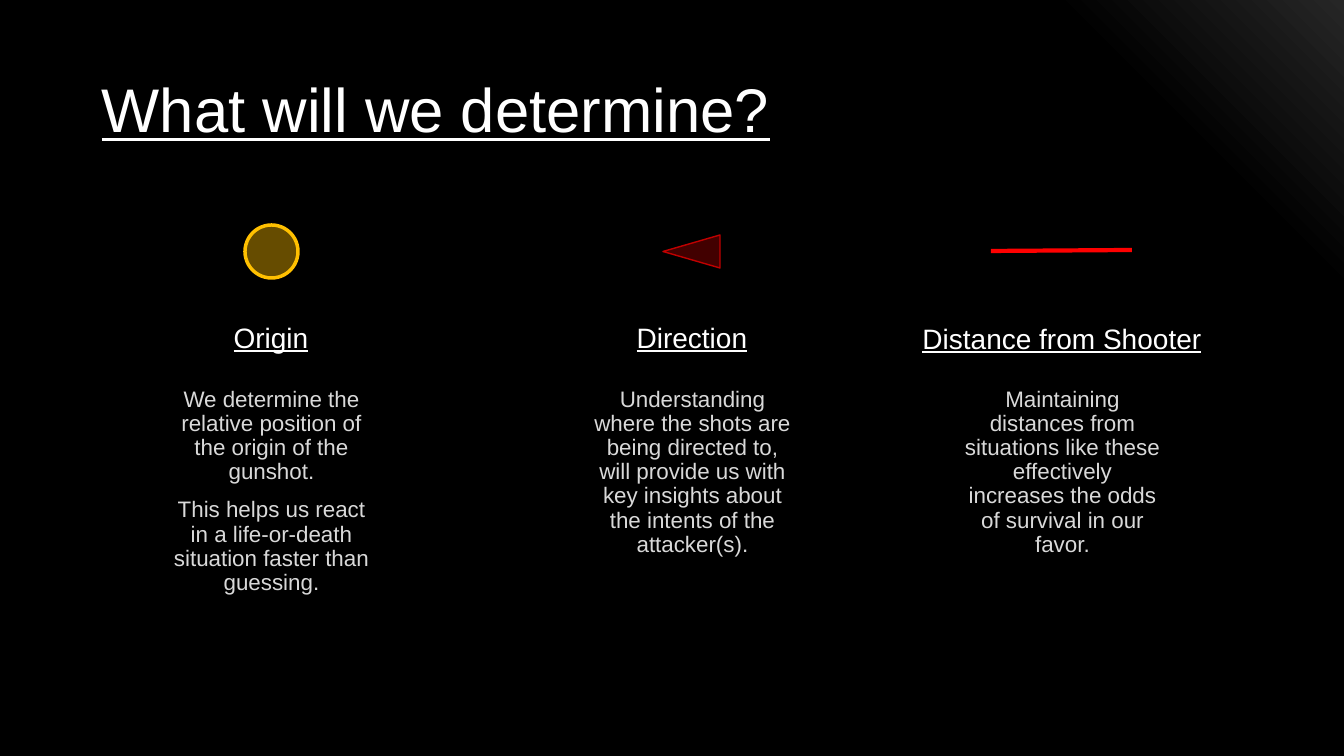
"""Build the slide on what is determined from a gunshot."""
from pptx import Presentation
from pptx.dml.color import RGBColor
from pptx.enum.shapes import MSO_CONNECTOR, MSO_SHAPE
from pptx.enum.text import MSO_ANCHOR, PP_ALIGN
from pptx.oxml import parse_xml
from pptx.oxml.ns import nsdecls
from pptx.oxml.xmlchemy import OxmlElement
from pptx.util import Pt

SCALE = 12192000 / 1344


def color(value):
    return RGBColor.from_string(value)


def add_text(slide, bounds, paragraphs, text_format, paragraph_format, anchor=MSO_ANCHOR.TOP):
    box = slide.shapes.add_textbox(*(round(length * SCALE) for length in bounds))
    frame = box.text_frame
    frame.word_wrap = True
    frame.vertical_anchor = anchor
    for index, text in enumerate(paragraphs):
        para = frame.paragraphs[0] if index == 0 else frame.add_paragraph()
        for name, value in paragraph_format.items():
            setattr(para, name, value)
        span = para.add_run()
        span.text = text
        for name, value in text_format.items():
            if name == "color":
                span.font.color.rgb = color(value)
            else:
                setattr(span.font, name, value)


deck = Presentation()
deck.slide_width = round(1344 * SCALE)
deck.slide_height = round(756 * SCALE)
page = deck.slides.add_slide(deck.slide_layouts[6])

stops = "".join(
    f'<a:gs pos="{position * 1000}"><a:srgbClr val="{value}"/></a:gs>'
    for position, value in [(0, "262626"), (14, "000000"), (100, "000000")]
)
background = parse_xml(
    f'<p:bg {nsdecls("p", "a")}><p:bgPr><a:gradFill rotWithShape="1"><a:gsLst>{stops}</a:gsLst>'
    '<a:path path="circle"><a:fillToRect l="100000" b="100000"/></a:path>'
    "</a:gradFill><a:effectLst/></p:bgPr></p:bg>"
)
page.element.cSld.insert(0, background)

title_format = {"name": "Arial", "size": Pt(44), "underline": True, "color": "FFFFFF"}
heading_format = {**title_format, "size": Pt(20)}
body_format = {"name": "Arial", "size": Pt(16), "color": "D9D9D9"}
title_spacing = {"line_spacing": 0.9}
column_spacing = {"alignment": PP_ALIGN.CENTER, "line_spacing": 0.9, "space_before": Pt(10)}

add_text(page, (92, 40, 1159, 146), ["What will we determine?"],
         title_format, title_spacing, MSO_ANCHOR.MIDDLE)

columns = [
    (271, 319, 112, "Origin", [
        "We determine the relative position of the origin of the gunshot.",
        "This helps us react in a life-or-death situation faster than guessing.",
    ]),
    (692, 319, 160, "Direction", [
        "Understanding where the shots are being directed to, will provide us with "
        "key insights about the intents of the attacker(s).",
    ]),
    (1062, 320, 346, "Distance from Shooter", [
        "Maintaining distances from situations like these effectively increases "
        "the odds of survival in our favor.",
    ]),
]
for center, top, width, heading, body in columns:
    add_text(page, (center - width // 2, top, width, 49), [heading], heading_format, column_spacing)
    add_text(page, (center - 108, 383, 217, 271), body, body_format, column_spacing)

markers = [
    (MSO_SHAPE.OVAL, (245, 225, 53, 53), 0, "FFC000", 40, "FFC000", 2.5),
    (MSO_SHAPE.ISOSCELES_TRIANGLE, (675, 223, 33, 57), 270, "FF0000", 26, "C00000", 1),
]
for kind, bounds, rotation, fill, opacity, outline, weight in markers:
    marker = page.shapes.add_shape(kind, *(round(length * SCALE) for length in bounds))
    marker.rotation = rotation
    marker.shadow.inherit = False
    marker.fill.solid()
    marker.fill.fore_color.rgb = color(fill)
    alpha = OxmlElement("a:alpha")
    alpha.set("val", str(opacity * 1000))
    marker.fill._xPr.find(".//{*}srgbClr").append(alpha)
    marker.line.color.rgb = color(outline)
    marker.line.width = Pt(weight)

distance_line = page.shapes.add_connector(
    MSO_CONNECTOR.STRAIGHT, *(round(length * SCALE) for length in (1132, 250, 991, 251)))
distance_line.line.color.rgb = color("FF0000")
distance_line.line.width = Pt(3)
distance_line._element.spPr.append(OxmlElement("a:effectLst"))

deck.save("out.pptx")
